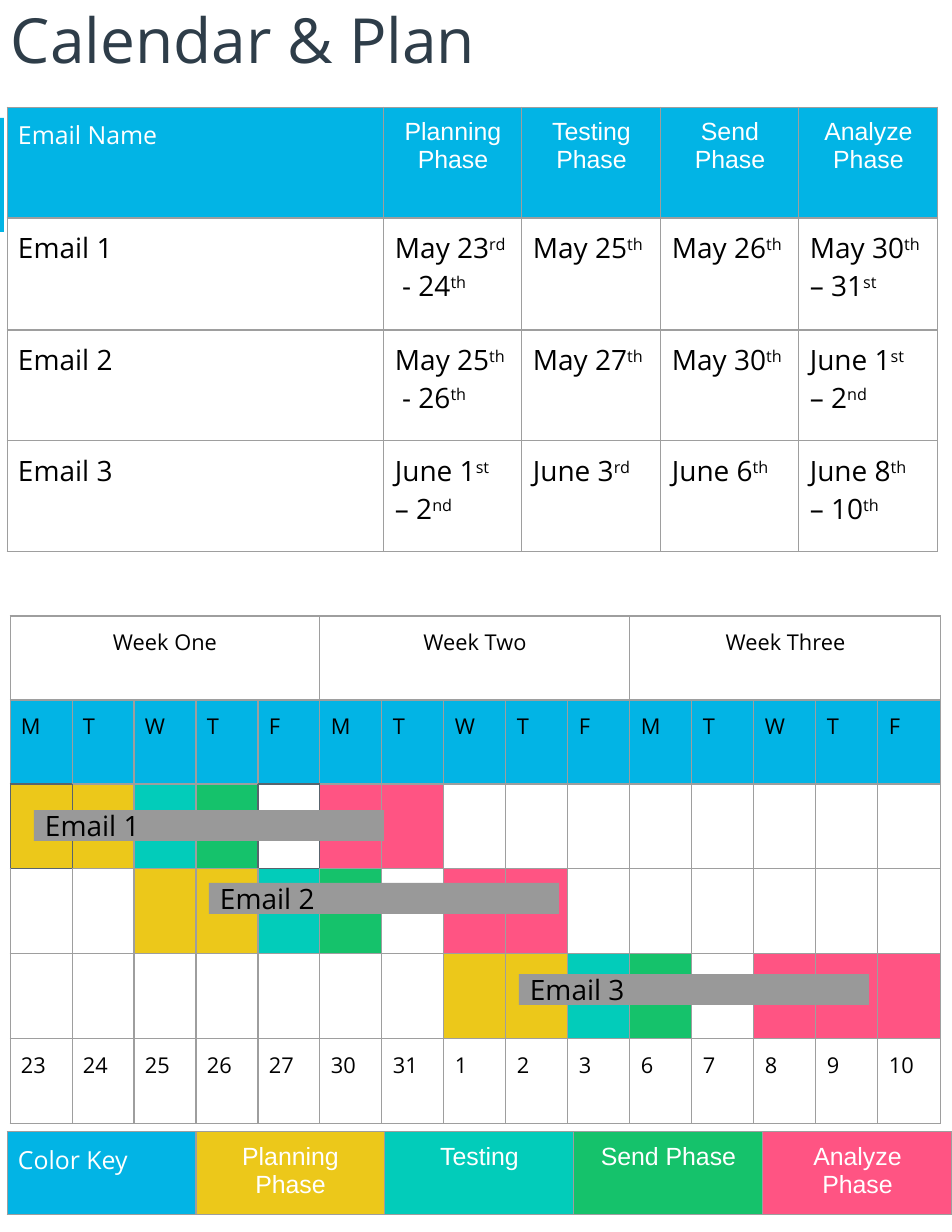
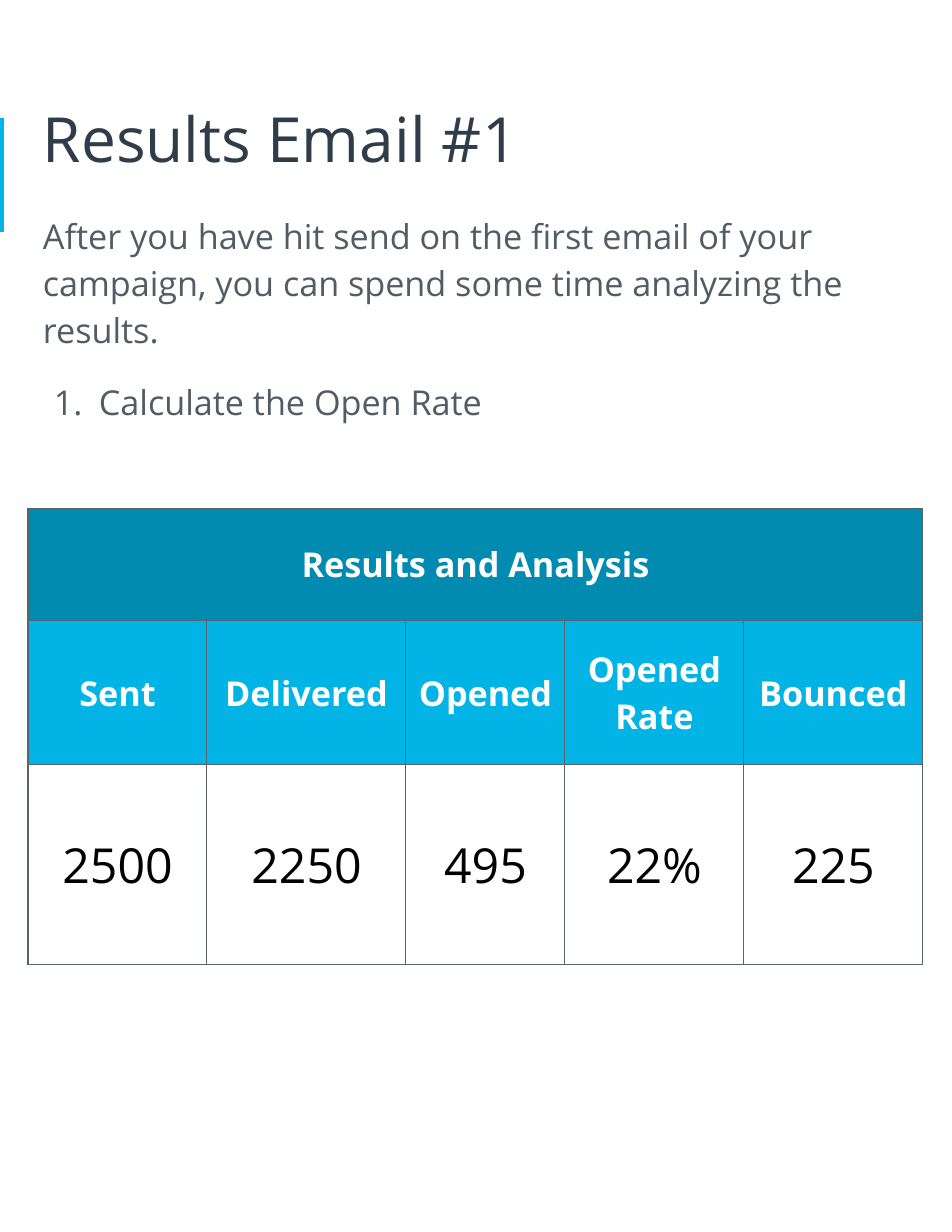
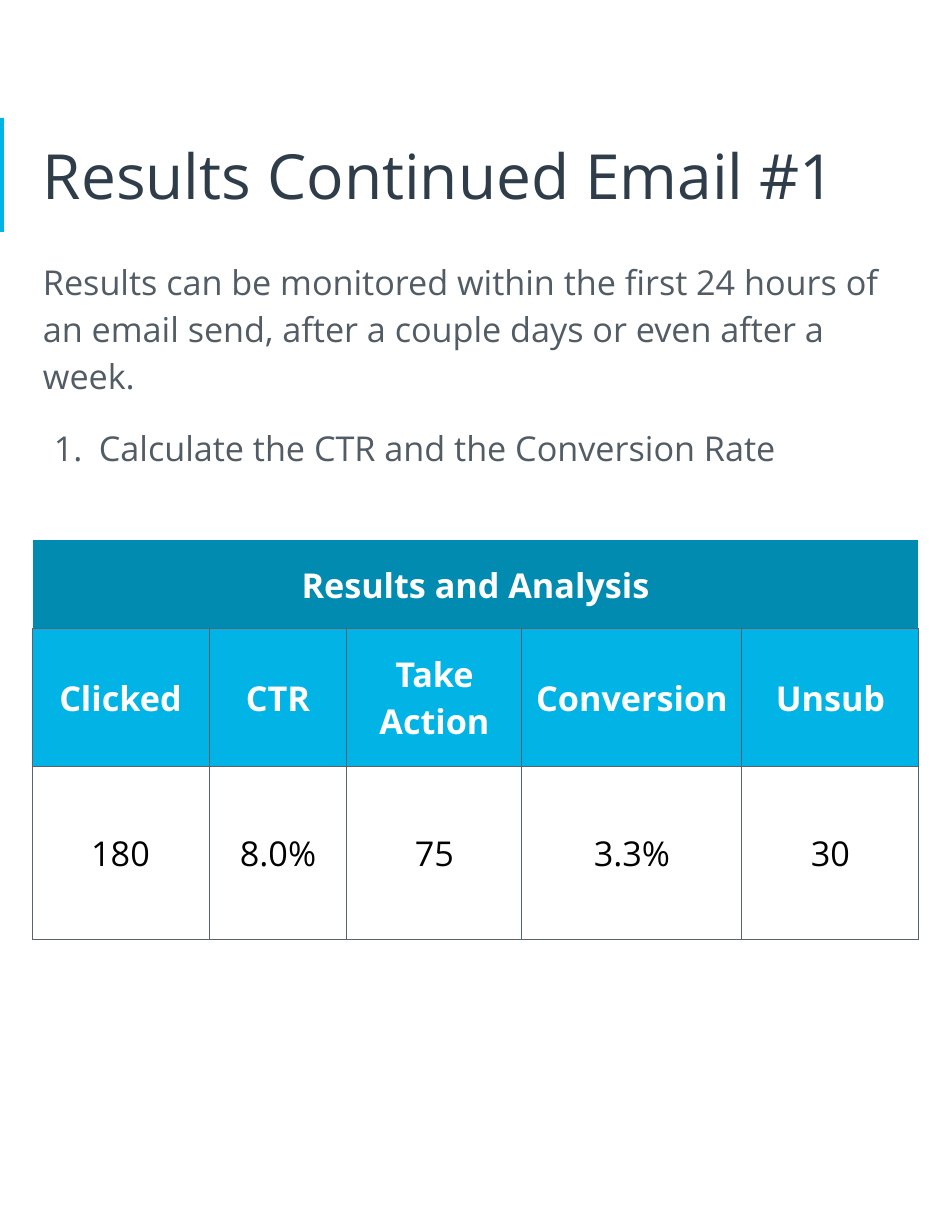
from lxml.etree import SubElement
from pptx import Presentation
from pptx.dml.color import RGBColor as RGB
from pptx.enum.shapes import MSO_SHAPE as SHAPE
from pptx.enum.text import MSO_ANCHOR as ANCHOR, PP_ALIGN as ALIGN
from pptx.oxml.ns import qn
from pptx.util import Pt

PX = 914400 / 112
INSET = 11
COLORS = {
    "sky": "02B4E5", "deep": "028BB1", "ink": "2E3D49", "body": "525C65",
    "white": "FFFFFF", "black": "000000", "rule": "9E9E9E", "slate": "58646D",
    "bar": "999999", "planning": "ECC81A", "testing": "02CCBA",
    "send": "15C26B", "analyze": "FF5483",
}
# Border side -> step to the neighbouring cell, in the order the schema asks for
SIDES = {"L": (0, -1), "R": (0, 1), "T": (-1, 0), "B": (1, 0)}


def write(paragraph, text, size, color="black", font="Open Sans", bold=False, align=ALIGN.LEFT):
    """Add text run by run; ^x^ is superscript and a newline is a line break."""
    paragraph.alignment = align
    for line_no, line in enumerate(text.split("\n")):
        if line_no:
            paragraph.add_line_break()
        for part_no, part in enumerate(line.split("^")):
            if not part:
                continue
            run = paragraph.add_run()
            run.text = part
            run.font.name, run.font.size, run.font.bold = font, Pt(size), bold
            run.font.color.rgb = RGB.from_string(COLORS[color])
            if part_no % 2:
                run._r.get_or_add_rPr().set("baseline", "30000")


def add_grid(slide, left, top, widths, heights, rows, edge,
             odd_edges=None, insets=(INSET, INSET), anchor=ANCHOR.TOP):
    """Each cell is a dict: text, fill and span, and the rest goes to write()."""
    odd_edges = odd_edges or {}
    frame = slide.shapes.add_table(
        len(heights), len(widths), int(left * PX), int(top * PX),
        int(sum(widths) * PX), int(sum(heights) * PX))
    table = frame.table
    table.first_row = table.horz_banding = False
    for column, width in zip(table.columns, widths):
        column.width = int(width * PX)
    for row, height in zip(table.rows, heights):
        row.height = int(height * PX)

    for r in range(len(heights)):
        for c in range(len(widths)):
            cell = table.cell(r, c)
            for side in SIDES:
                line = SubElement(cell._tc.get_or_add_tcPr(), qn(f"a:ln{side}"), w="9525")
                paint = SubElement(line, qn("a:solidFill"))
                SubElement(paint, qn("a:srgbClr"), val=COLORS[odd_edges.get((r, c, side), edge)])
            cell.fill.background()

    for r, specs in enumerate(rows):
        c = 0
        for spec in specs:
            style = dict(spec)
            text, fill, span = style.pop("text", ""), style.pop("fill", None), style.pop("span", 1)
            cell = table.cell(r, c)
            if span > 1:
                cell.merge(table.cell(r, c + span - 1))
            cell.margin_left = cell.margin_right = int(insets[0] * PX)
            cell.margin_top = cell.margin_bottom = int(insets[1] * PX)
            cell.vertical_anchor = anchor
            if fill:
                cell.fill.solid()
                cell.fill.fore_color.rgb = RGB.from_string(COLORS[fill])
            if text:
                write(cell.text_frame.paragraphs[0], text, **style)
            c += span


prs = Presentation()
prs.slide_width, prs.slide_height = int(952 * PX), int(1232 * PX)

# Accent band and title on every slide
slides = []
for title, left, top in [("Calendar & Plan", 0, -30),
                         ("Results Email #1", 32, 69),
                         ("Results Continued Email #1", 32, 106)]:
    slide = prs.slides.add_slide(prs.slide_layouts[6])
    slides.append(slide)
    band = slide.shapes.add_shape(SHAPE.RECTANGLE, 0, int(118 * PX), int(4 * PX), int(114 * PX))
    band.shadow.inherit = False
    band.fill.solid()
    band.fill.fore_color.rgb = RGB.from_string(COLORS["sky"])
    band.line.fill.background()
    heading = slide.shapes.add_textbox(int(left * PX), int(top * PX), int(887 * PX), int(137 * PX)).text_frame
    heading.word_wrap = True
    heading.vertical_anchor = ANCHOR.MIDDLE
    heading.margin_left = heading.margin_right = int(INSET * PX)
    heading.margin_top = heading.margin_bottom = int(INSET * PX)
    write(heading.paragraphs[0], title, 40, "ink")

plan = slides[0]
lead = {"size": 16, "color": "white"}
phase = {**lead, "font": "Arial", "align": ALIGN.CENTER}

# Schedule of the three emails
schedule = [[{**lead, "text": "Email Name", "fill": "sky"}]]
for name in ["Planning", "Testing", "Send", "Analyze"]:
    schedule[0].append({**phase, "text": f"{name} Phase", "fill": "sky"})
for dates in [
    ["Email 1", "May 23^rd^\n - 24^th^", "May 25^th^", "May 26^th^", "May 30^th^\n– 31^st^"],
    ["Email 2", "May 25^th^\n - 26^th^", "May 27^th^", "May 30^th^", "June 1^st^\n– 2^nd^"],
    ["Email 3", "June 1^st^\n– 2^nd^", "June 3^rd^", "June 6^th^", "June 8^th^\n– 10^th^"],
]:
    schedule.append([{"text": date, "size": 18} for date in dates])
add_grid(plan, 7, 107, [377, 138, 139, 138, 139], [111, 112, 111, 111], schedule, "rule")

# Three-week calendar: one letter per day, a dot for a free day
phase_fills = {"P": "planning", "T": "testing", "S": "send", "A": "analyze", ".": None}
calendar = [
    [{"text": f"Week {n}", "size": 14, "align": ALIGN.CENTER, "span": 5} for n in ["One", "Two", "Three"]],
    [{"text": day, "size": 14, "fill": "sky"} for day in "MTWTF" * 3],
]
for start, days in [(0, "PPTS.AA"), (2, "PPTS.AA"), (7, "PPTS.AAA")]:
    calendar.append([{"fill": phase_fills[day]} for day in ("." * start + days).ljust(15, ".")])
calendar.append([{"text": str(day), "size": 14}
                 for day in [*range(23, 28), 30, 31, *range(1, 4), *range(6, 11)]])

# Two boxed days take a darker border, shared with the cells next to them
opposite = {"L": "R", "R": "L", "T": "B", "B": "T"}
boxed_edges = {}
for r, c in [(2, 0), (2, 4)]:
    for side, (down, across) in SIDES.items():
        boxed_edges[r, c, side] = "slate"
        boxed_edges[r + down, c + across, opposite[side]] = "slate"
add_grid(plan, 10, 616, [62] * 14 + [63], [84, 84, 85, 85, 85, 85], calendar, "rule", boxed_edges)

# Color key
color_key = [{**lead, "text": "Color Key", "fill": "sky"}]
for name, fill in [("Planning Phase", "planning"), ("Testing", "testing"),
                   ("Send Phase", "send"), ("Analyze\nPhase", "analyze")]:
    color_key.append({**phase, "text": name, "fill": fill})
add_grid(plan, 7, 1132, [189] * 5, [83], [color_key], "rule")

# Bars over the calendar
for number, (left, top) in enumerate([(34, 810), (209, 883), (519, 974)], 1):
    bar = plan.shapes.add_shape(SHAPE.RECTANGLE, int(left * PX), int(top * PX), int(350 * PX), int(31 * PX))
    bar.shadow.inherit = False
    bar.fill.solid()
    bar.fill.fore_color.rgb = RGB.from_string(COLORS["bar"])
    bar.line.fill.background()
    label = bar.text_frame
    label.vertical_anchor = ANCHOR.MIDDLE
    label.margin_left = label.margin_right = int(INSET * PX)
    label.margin_top = label.margin_bottom = int(INSET * PX)
    write(label.paragraphs[0], f"Email {number}", 18)

# Results slides: text, one numbered step and a table
white_edges = {(0, c, side): "white" for c in range(5) for side in "LTR"}
for slide, text_top, intro, step, (left, top), widths, heights, results, value_size, edges in [
    (slides[1], 198,
     "After you have hit send on the first email of your campaign, you can spend some time analyzing the results.",
     "Calculate the Open Rate",
     (28, 508), [179, 199, 159, 179, 179], [113, 144, 200],
     {"Sent": "2500", "Delivered": "2250", "Opened": "495", "Opened Rate": "22%", "Bounced": "225"}, 31, None),
    (slides[2], 244,
     "Results can be monitored within the first 24 hours of an email send, "
     "after a couple days or even after a week.",
     "Calculate the CTR and the Conversion Rate",
     (32, 540), [177, 138, 175, 220, 177], [89, 138, 173],
     {"Clicked": "180", "CTR": "8.0%", "Take Action": "75", "Conversion": "3.3%", "Unsub": "30"}, 22, white_edges),
]:
    body = slide.shapes.add_textbox(int(32 * PX), int(text_top * PX), int(887 * PX), int(237 * PX)).text_frame
    body.word_wrap = True
    body.margin_left = body.margin_right = int(INSET * PX)
    body.margin_top = body.margin_bottom = int(INSET * PX)
    numbered = body.add_paragraph()
    for paragraph, text in zip(body.paragraphs, [intro, step]):
        paragraph.line_spacing = 1.15
        write(paragraph, text, 22, "body")
    numbered.space_before = Pt(16)
    properties = numbered._p.get_or_add_pPr()
    properties.set("marL", str(int(56 * PX)))
    properties.set("indent", str(int(-45 * PX)))
    SubElement(SubElement(properties, qn("a:buClr")), qn("a:srgbClr"), val=COLORS["body"])
    SubElement(properties, qn("a:buAutoNum"), type="arabicPeriod")

    head = {"size": 22, "color": "white", "bold": True, "align": ALIGN.CENTER}
    rows = [
        [{**head, "text": "Results and Analysis", "fill": "deep", "span": 5}],
        [{**head, "text": measure, "fill": "sky"} for measure in results],
        [{"text": value, "size": value_size, "align": ALIGN.CENTER} for value in results.values()],
    ]
    add_grid(slide, left, top, widths, heights, rows, "slate", edges, (9, 22), ANCHOR.MIDDLE)

prs.save("out.pptx")
